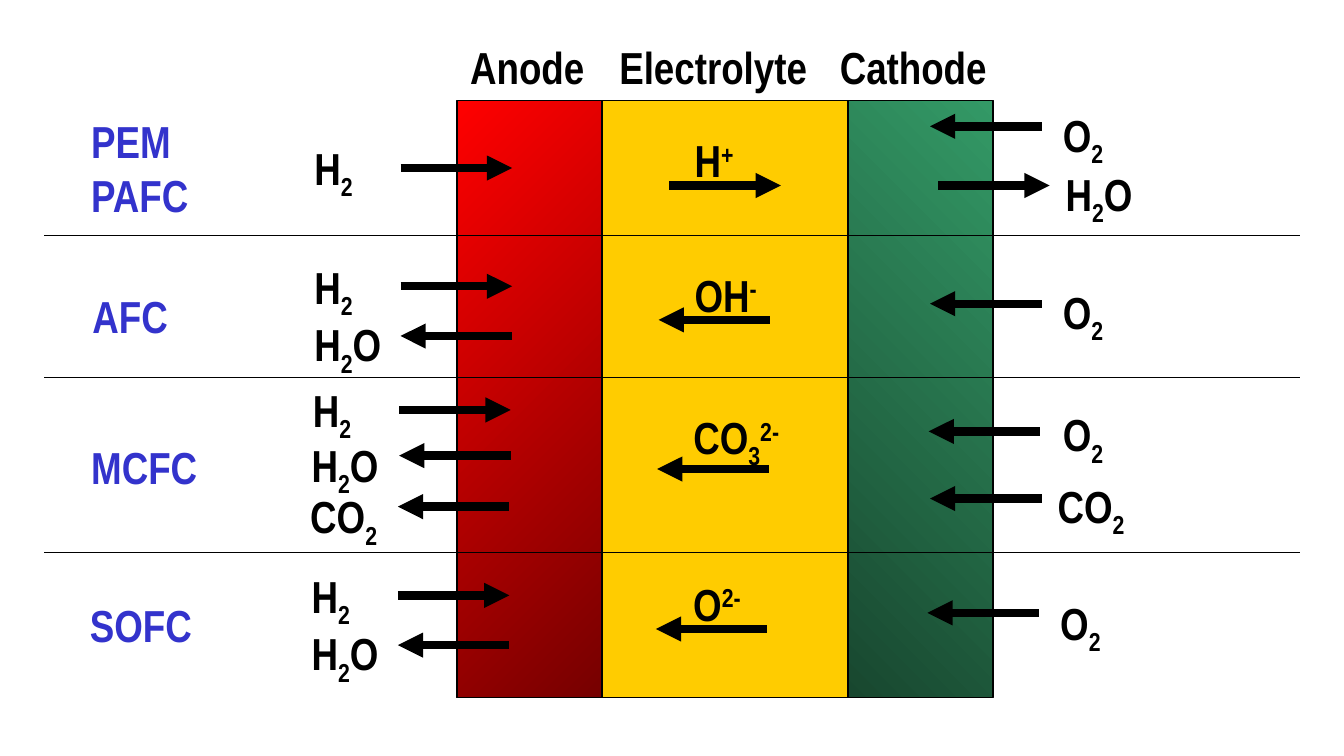
from dataclasses import dataclass

from pptx import Presentation
from pptx import util as u
from pptx.dml.color import RGBColor
from pptx.enum import shapes, text
from pptx.oxml import ns
from lxml import etree


@dataclass(frozen=True)
class Theme:
    """Colours, font and sizes of the slide."""
    ink: str = "000000"
    label: str = "3333CC"
    anode: tuple = ("FF0000", "760000")
    cell: tuple = ("FFCC00",)
    cathode: tuple = ("18472F", "339966")
    font: str = "Arial Narrow"
    size: float = 24
    thin: float = 0.75
    thick: float = 4.5


THEME = Theme()
TOP, TALL = 0.75, 4.44
REACH = 0.83
RIGHT, LEFT = "tailEnd", "headEnd"
SHIFT = {"_": "-25000", "^": "30000"}
WIDTHS = {"H|_2": 0.53, "H|_2|O": 0.74, "O|_2": 0.58, "CO|_2": 0.85,
          "H|^+": 0.53, "OH|^-": 0.7, "CO|_3|^2-": 1.01, "O|^2-": 0.6}

LAYERS = [
    ("Anode", 3.4, 1.08, THEME.anode, 315, 3.4, 1.05),
    ("Cathode", 6.31, 1.08, THEME.cathode, 45, 6.15, 1.29),
    ("Electrolyte", 4.48, 1.83, THEME.cell, 0, 4.51, 1.6),
]
TYPES = [("PEM\nPAFC", 0.58, 0.8, 0.94, 0.9), ("AFC", 0.59, 2.1, 0.76, 0.5),
         ("MCFC", 0.58, 3.22, 0.99, 0.5), ("SOFC", 0.57, 4.4, 0.96, 0.5)]
RULES = [1.75, 2.81, 4.11]
FLOWS = [
    ("H|_2", 2.24, 1, 2.98, 1.25, RIGHT),
    ("H|^+", 5.07, 0.94, 4.98, 1.38, RIGHT),
    ("O|_2", 7.81, 0.75, 6.92, 0.94, LEFT),
    ("H|_2|O", 7.83, 1.19, 6.98, 1.38, RIGHT),
    ("H|_2", 2.24, 1.88, 2.98, 2.13, RIGHT),
    ("H|_2|O", 2.24, 2.31, 2.98, 2.5, LEFT),
    ("OH|^-", 5.07, 1.94, 4.9, 2.38, LEFT),
    ("O|_2", 7.81, 2.07, 6.92, 2.26, LEFT),
    ("H|_2", 2.23, 2.8, 2.97, 3.05, RIGHT),
    ("H|_2|O", 2.22, 3.21, 2.97, 3.39, LEFT),
    ("CO|_2", 2.21, 3.59, 2.96, 3.77, LEFT),
    ("CO|_3|^2-", 5.06, 3, 4.89, 3.49, LEFT),
    ("O|_2", 7.81, 2.98, 6.91, 3.21, LEFT),
    ("CO|_2", 7.77, 3.51, 6.92, 3.71, LEFT),
    ("H|_2", 2.22, 4.18, 2.96, 4.43, RIGHT),
    ("H|_2|O", 2.22, 4.61, 2.96, 4.8, LEFT),
    ("O|^2-", 5.06, 4.24, 4.88, 4.68, LEFT),
    ("O|_2", 7.79, 4.38, 6.9, 4.56, LEFT),
]


def tint(code):
    """Turn a hex code into a colour."""
    return RGBColor.from_string(code)


def add_layer(slide, left, width, fills, angle):
    """Draw one outlined layer of the cell, plain or graded."""
    box = slide.shapes.add_shape(
        shapes.MSO_SHAPE.RECTANGLE, u.Inches(left), u.Inches(TOP),
        u.Inches(width), u.Inches(TALL))
    box.shadow.inherit = False
    if len(fills) > 1:
        box.fill.gradient()
        box.fill.gradient_angle = angle
        for stop, code, place in zip(box.fill.gradient_stops, fills, (0, 1)):
            stop.color.rgb = tint(code)
            stop.position = place
    else:
        box.fill.solid()
        box.fill.fore_color.rgb = tint(fills[0])
    box.line.color.rgb = tint(THEME.ink)
    box.line.width = u.Pt(THEME.thin)


def add_label(slide, words, left, top, width, height=0.5, code=THEME.ink,
              wrap=False):
    """Place bold text; bars part runs, _ lowers one and ^ raises one."""
    box = slide.shapes.add_textbox(*map(u.Inches, (left, top, width, height)))
    frame = box.text_frame
    frame.word_wrap = wrap
    frame.auto_size = text.MSO_AUTO_SIZE.SHAPE_TO_FIT_TEXT
    for num, row in enumerate(words.split("\n")):
        para = frame.add_paragraph() if num else frame.paragraphs[0]
        for part in row.split("|"):
            run = para.add_run()
            run.text = part.lstrip("_^")
            font = run.font
            font.name, font.size, font.bold = THEME.font, u.Pt(THEME.size), True
            font.color.rgb = tint(code)
            if part[0] in SHIFT:
                run._r.get_or_add_rPr().set("baseline", SHIFT[part[0]])


def add_line(slide, left, right, y, weight, head=None):
    """Draw a level line, with an arrowhead at one end if asked."""
    line = slide.shapes.add_connector(
        shapes.MSO_CONNECTOR.STRAIGHT,
        *map(u.Inches, (left, y, right, y)))
    line.line.color.rgb = tint(THEME.ink)
    line.line.width = u.Pt(weight)
    if head:
        etree.SubElement(line.line._get_or_add_ln(), ns.qn(f"a:{head}"),
                         type="triangle")
    etree.SubElement(line._element.spPr, ns.qn("a:effectLst"))


def add_flow(slide, words, left, top, start, y, head):
    """Draw a species and the arrow that carries it."""
    height = 0.56 if "_" in words else 0.5
    add_label(slide, words, left, top, WIDTHS[words], height, wrap=True)
    add_line(slide, start, start + REACH, y, THEME.thick, head)


def main():
    """Build the fuel cell slide."""
    deck = Presentation()
    deck.slide_width = u.Inches(10)
    deck.slide_height = deck.slide_width * 9 // 16
    slide = deck.slides.add_slide(deck.slide_layouts[6])
    for name, left, width, fills, angle, start, room in LAYERS:
        add_layer(slide, left, width, fills, angle)
        add_label(slide, name, start, 0.25, room)
    for flow in FLOWS:
        add_flow(slide, *flow)
    for y in RULES:
        add_line(slide, 0.33, 9.67, y, THEME.thin)
    for kind in TYPES:
        add_label(slide, *kind, code=THEME.label)
    deck.save("out.pptx")


if __name__ == "__main__":
    main()
